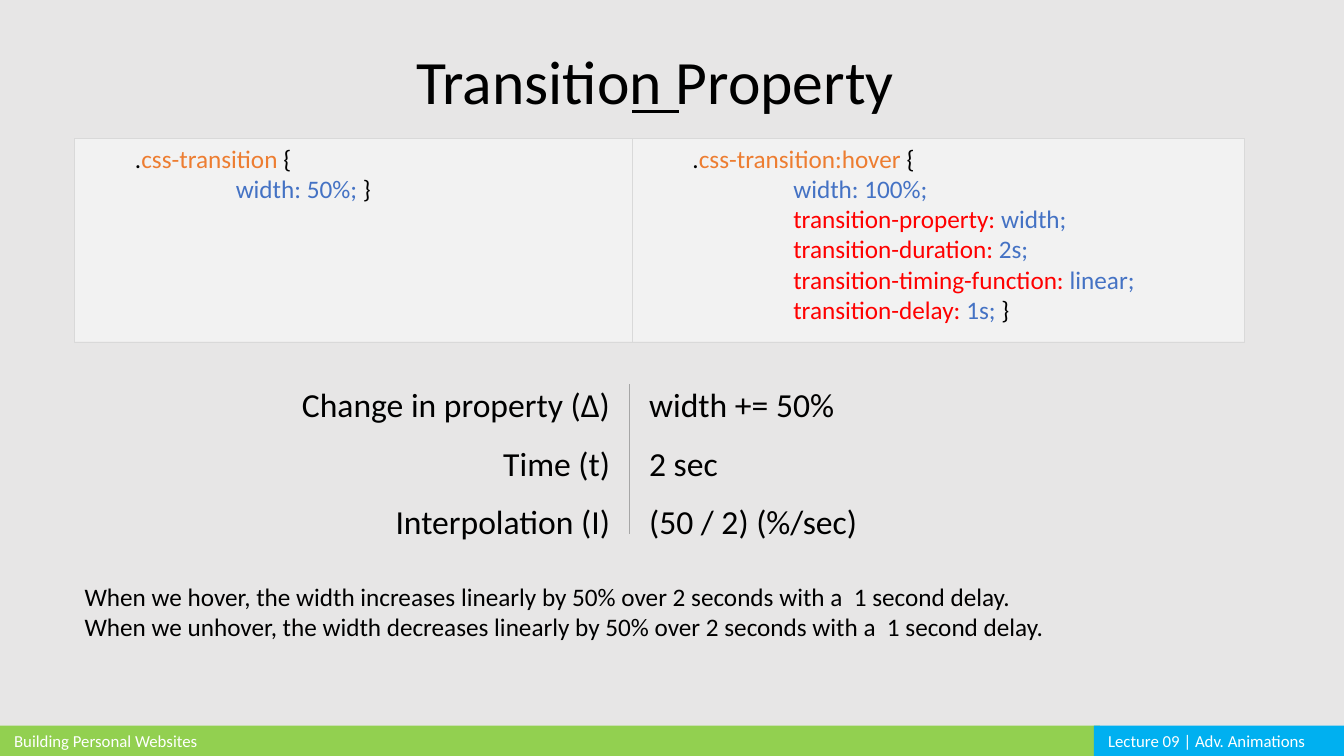
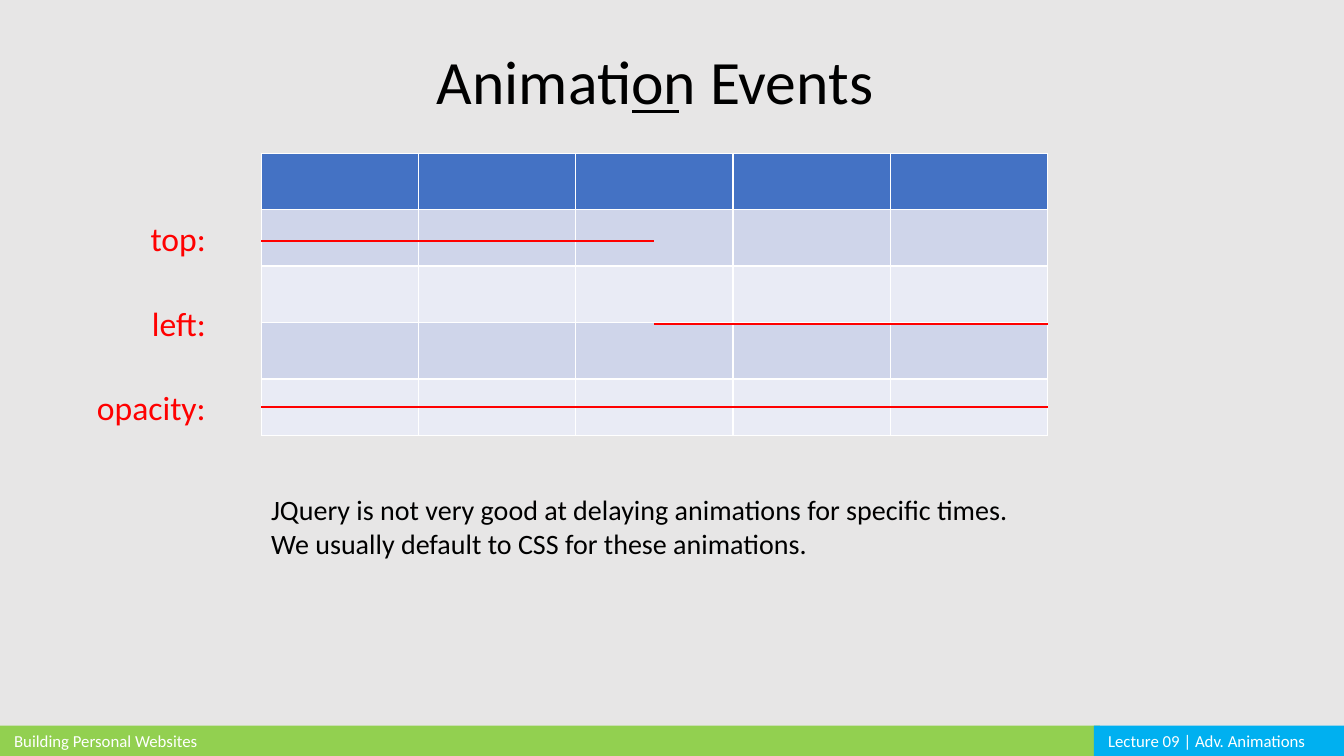
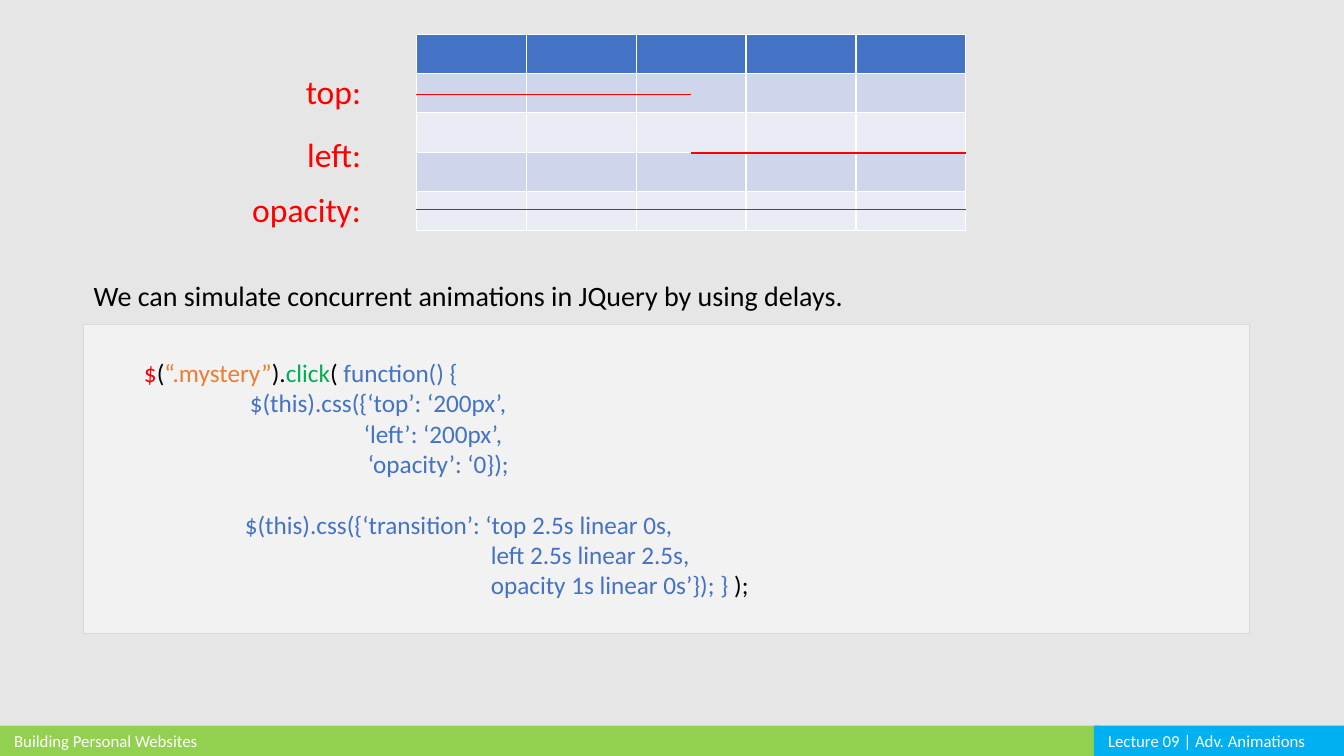
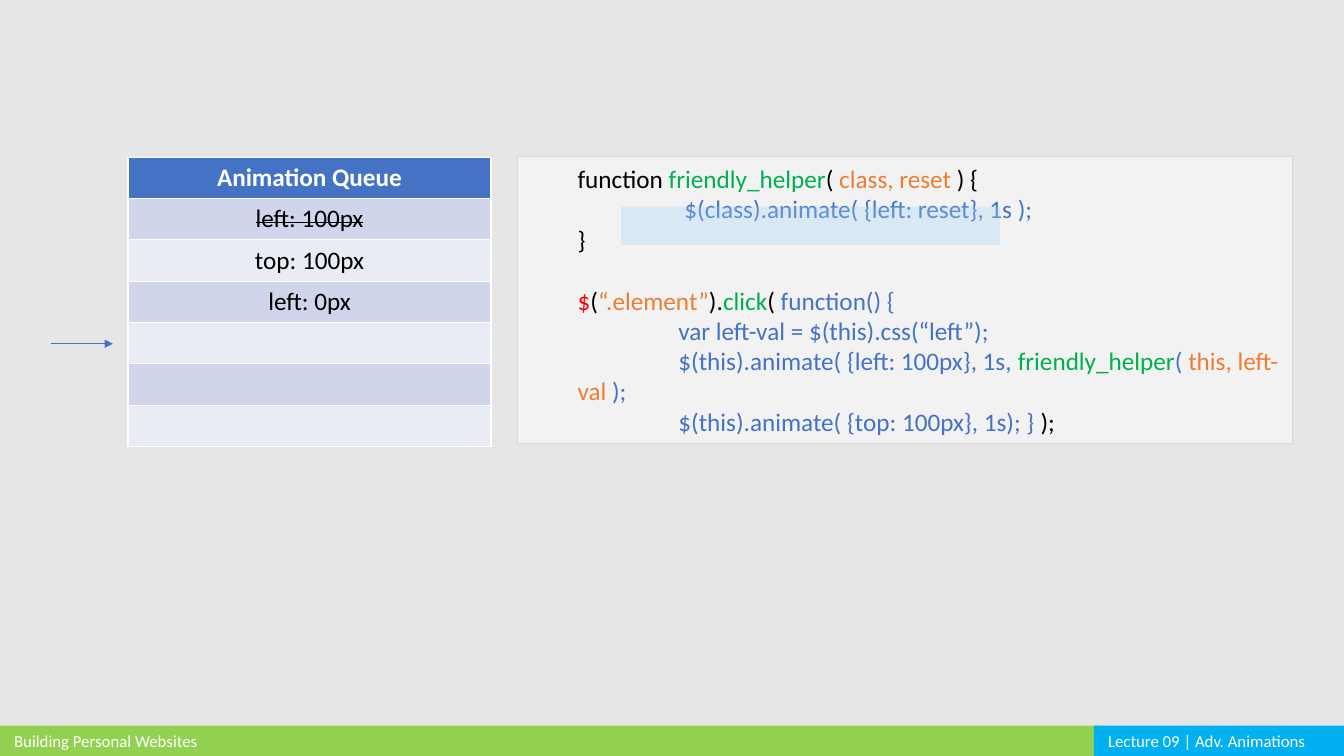
from lxml.etree import SubElement
from pptx import Presentation
from pptx.dml.color import RGBColor as RGB
from pptx.enum.shapes import MSO_CONNECTOR as CONN, MSO_SHAPE as SHAPE
from pptx.enum.text import MSO_ANCHOR as ANCHOR, MSO_AUTO_SIZE as AUTO, PP_ALIGN as ALIGN
from pptx.oxml.ns import qn
from pptx.util import Inches, Pt

COLORS = {
    "page": "E7E6E6", "green_band": "92D050", "blue_band": "00B0F0",
    "white": "FFFFFF", "black": "000000", "red": "FF0000", "blue": "4472C4",
    "orange": "ED7D31", "green": "00B050", "panel": "F2F2F2", "edge": "D9D9D9",
    "divider": "A6A6A6", "row_dark": "CFD5EA", "row_light": "E9EBF5",
    "highlight": "A0D4F5",
}
FRAME = {"word_wrap": True, "auto_size": AUTO.NONE, "vertical_anchor": ANCHOR.TOP}
CELL = {"margin_top": Inches(0.02), "margin_bottom": Inches(0.02),
        "vertical_anchor": ANCHOR.MIDDLE}
LINE_GAP = Pt(22)


def rgb(name):
    """Return the named colour."""
    return RGB.from_string(COLORS[name])


def apply(target, values):
    """Set each attribute in values on target."""
    for name, value in values.items():
        setattr(target, name, value)


class Deck:
    """Holds the shared style and the current slide."""

    font = "Calibri"
    bands = [("Building Personal Websites", 0, 10.91, "green_band"),
             ("Lecture 09 | Adv. Animations", 10.85, 2.48, "blue_band")]

    def __init__(self):
        """Start a wide presentation with a grey page."""
        self.prs = Presentation()
        apply(self.prs, {"slide_width": Inches(13.33), "slide_height": Inches(7.5)})
        fill = self.prs.slide_master.background.fill
        fill.solid()
        fill.fore_color.rgb = rgb("page")

    def slide(self, title=None):
        """Add a slide with the footer bands and, if given, a title."""
        self.s = self.prs.slides.add_slide(self.prs.slide_layouts[5 if title else 6])
        for text, left, width, color in self.bands:
            sp = self.rect(left, 7.2, width, 0.3, color)
            self.fill_text(sp.text_frame, [text], 12, "white")
            apply(sp.text_frame, {"margin_left": Inches(0.14), "margin_top": 0,
                                  "margin_bottom": 0, "vertical_anchor": ANCHOR.MIDDLE})
        if title:
            sp = self.s.shapes.title
            apply(sp, {"left": Inches(3.36), "top": Inches(0.01),
                       "width": Inches(6.28), "height": Inches(1.1)})
            self.fill_text(sp.text_frame, [title], 44, alignment=ALIGN.CENTER,
                           line_spacing=1.5)
            self.line(6.27, 1.11, 6.73, 1.11, "black", 2.25)

    def run(self, p, text, size, color, **fmt):
        """Append a formatted run to a paragraph."""
        r = p.add_run()
        r.text = text
        apply(r.font, {"name": self.font, "size": Pt(size), **fmt})
        r.font.color.rgb = rgb(color)

    def fill_text(self, tf, lines, size, color="black", **fmt):
        """Fill a text frame with one paragraph per line."""
        apply(tf, FRAME)
        for i, text in enumerate(lines):
            p = tf.add_paragraph() if i else tf.paragraphs[0]
            apply(p, {"alignment": ALIGN.LEFT, **fmt})
            self.run(p, text, size, color)

    def text(self, left, top, width, height, lines, size, color="black", **fmt):
        """Add a text box."""
        sp = self.s.shapes.add_textbox(*map(Inches, (left, top, width, height)))
        self.fill_text(sp.text_frame, lines, size, color, **fmt)

    def rect(self, left, top, width, height, color, edge=None, opacity=None):
        """Add a flat rectangle."""
        sp = self.s.shapes.add_shape(SHAPE.RECTANGLE, *map(Inches, (left, top, width, height)))
        sp.shadow.inherit = False
        sp.fill.solid()
        sp.fill.fore_color.rgb = rgb(color)
        if edge:
            sp.line.color.rgb = rgb(edge)
            sp.line.width = Pt(0.25)
        else:
            sp.line.fill.background()
        if opacity:
            clr = sp._element.spPr.find(qn("a:solidFill")).find(qn("a:srgbClr"))
            SubElement(clr, qn("a:alpha"), val=str(opacity * 1000))
        return sp

    def line(self, x1, y1, x2, y2, color, weight, arrow=False):
        """Add a straight line, with an arrowhead at its end if asked."""
        sp = self.s.shapes.add_connector(CONN.STRAIGHT, *map(Inches, (x1, y1, x2, y2)))
        sp.line.color.rgb = rgb(color)
        sp.line.width = Pt(weight)
        spPr = sp._element.spPr
        if arrow:
            SubElement(spPr.find(qn("a:ln")), qn("a:tailEnd"), type="triangle")
        SubElement(spPr, qn("a:effectLst"))

    def code(self, left, top, width, height, lines, anchor=ANCHOR.MIDDLE):
        """Add a code panel; a line is its depth and runs, None leaves a gap."""
        tf = self.rect(left, top, width, height, "panel", "edge").text_frame
        apply(tf, {**FRAME, "vertical_anchor": anchor})
        p, gap = tf.paragraphs[0], 0
        for i, line in enumerate(lines):
            if line is None:
                gap = LINE_GAP
                continue
            depth, *runs = line
            p = tf.add_paragraph() if i else p
            apply(p, {"alignment": ALIGN.LEFT, "space_before": gap})
            pPr = p._p.get_or_add_pPr()
            pPr.set("marL", str(Inches(0.5)))
            pPr.set("indent", str(Inches(depth)))
            for color, text in runs:
                self.run(p, text, 18, color)
            gap = 0

    def table(self, left, top, col, row, rows):
        """Add a table with a blue header and banded rows."""
        n, m = len(rows), len(rows[0])
        size = map(Inches, (left, top, col * m, row * n))
        tbl = self.s.shapes.add_table(n, m, *size).table
        for i, values in enumerate(rows):
            fill = "blue" if i == 0 else ("row_light", "row_dark")[i % 2]
            for j, value in enumerate(values):
                cell = tbl.cell(i, j)
                apply(cell, CELL)
                cell.fill.solid()
                cell.fill.fore_color.rgb = rgb(fill)
                p = cell.text_frame.paragraphs[0]
                p.alignment = ALIGN.CENTER
                if value:
                    self.run(p, value, 18, "black" if i else "white", bold=i == 0)
        return tbl

    def timeline(self, left, top, col, row, weight, tracks):
        """Add a five by five grid with a labelled bar for each property."""
        self.table(left, top, col, row, [[""] * 5] * 5)
        for label, label_top, y, start, end in tracks:
            self.text(left - 1.95, label_top, 1.5, 0.5, [label], 24, "red",
                      alignment=ALIGN.RIGHT)
            self.line(left + start * col, y, left + end * col, y, "red", weight)


deck = Deck()

deck.slide("Transition Property")
deck.code(0.74, 1.37, 5.53, 2.02, [
    (0, ("black", "."), ("orange", "css-transition"), ("black", " {")),
    (1, ("blue", "width: 50%; "), ("black", "}")),
], ANCHOR.TOP)
deck.code(6.27, 1.37, 6.07, 2.02, [
    (0, ("black", "."), ("orange", "css-transition:hover "), ("black", "{")),
    (1, ("blue", "width: 100%;")),
    (1, ("red", "transition-property:"), ("blue", " width;")),
    (1, ("red", "transition-duration:"), ("blue", " 2s;")),
    (1, ("red", "transition-timing-function: "), ("blue", "linear;")),
    (1, ("red", "transition-delay: "), ("blue", "1s; "), ("black", "}")),
], ANCHOR.TOP)
facts = [("Change in property (Δ)", "width += 50%"), ("Time (t)", "2 sec"),
         ("Interpolation (I)", "(50 / 2) (%/sec)")]
for i, (name, value) in enumerate(facts):
    top = 3.56 + 0.58 * i
    deck.text(2.15, top, 4, 0.64, [name], 24, alignment=ALIGN.RIGHT, line_spacing=1.5)
    deck.text(6.34, top, 4, 0.64, [value], 24, line_spacing=1.5)
deck.line(6.24, 3.81, 6.24, 5.3, "divider", 0.5)
deck.text(0.74, 5.72, 10.62, 1.01, [
    "When we hover, the width increases linearly by 50% over 2 seconds with a  1 second delay.",
    "When we unhover, the width decreases linearly by 50% over 2 seconds with a  1 second delay.",
], 18)

deck.slide("Animation Events")
deck.timeline(2.59, 1.52, 1.56, 0.56, 1.5, [
    ("top:", 2.11, 2.39, 0, 2.5),
    ("left:", 2.96, 3.21, 2.5, 5),
    ("opacity:", 3.79, 4.04, 0, 5),
])
deck.text(2.59, 4.84, 7.79, 0.77, [
    "JQuery is not very good at delaying animations for specific times. "
    "We usually default to CSS for these animations."], 20)

deck.slide()
deck.timeline(4.13, 0.34, 1.09, 0.39, 1, [
    ("top:", 0.65, 0.94, 0, 2.5),
    ("left:", 1.28, 1.52, 2.5, 5),
    ("opacity:", 1.83, 2.08, 0, 5),
])
deck.text(0.83, 2.71, 9.72, 0.44,
          ["We can simulate concurrent animations in JQuery by using delays."], 20)
deck.code(0.83, 3.22, 11.56, 3.06, [
    (0, ("red", "$"), ("black", "("), ("orange", "“.mystery”"), ("black", ")."),
     ("green", "click"), ("black", "( "), ("blue", "function() {")),
    (1.05, ("blue", "$(this).css({‘top’: ‘200px’,")),
    (2.18, ("blue", "‘left’: ‘200px’,")),
    (2.22, ("blue", "‘opacity’: ‘0});")),
    None,
    (1, ("blue", "$(this).css({‘transition’: ‘top 2.5s linear 0s,")),
    (3.44, ("blue", "left 2.5s linear 2.5s,")),
    (3.44, ("blue", "opacity 1s linear 0s’}); }"), ("black", " );")),
])

deck.slide()
queue = ["Animation Queue", "left: 100px", "top: 100px", "left: 0px", "", "", ""]
tbl = deck.table(1.27, 1.56, 3.6, 0.41, [[step] for step in queue])
done = tbl.cell(1, 0).text_frame.paragraphs[0].runs[0]
done._r.get_or_add_rPr().set("strike", "sngStrike")
deck.line(0.51, 3.41, 1.12, 3.41, "blue", 0.5, arrow=True)
deck.code(5.13, 1.55, 7.69, 2.85, [
    (0, ("black", "function "), ("green", "friendly_helper"), ("black", "( "),
     ("orange", "class, reset"), ("black", " ) {")),
    (1.06, ("blue", "$(class).animate( {left: reset}, 1s );")),
    (0, ("black", "}")),
    None,
    (0, ("red", "$"), ("black", "("), ("orange", "“.element”"), ("black", ")."),
     ("green", "click"), ("black", "( "), ("blue", "function() {")),
    (1, ("blue", "var left-val = $(this).css(“left”);")),
    (1, ("blue", "$(this).animate( {left: 100px}, 1s, "), ("green", "friendly_helper"),
     ("blue", "( "), ("orange", "this, left-val"), ("blue", " );")),
    (1, ("blue", "$(this).animate( {top: 100px}, 1s); }"), ("black", " );")),
])
deck.rect(6.16, 2.05, 3.76, 0.38, "highlight", opacity=30)

deck.prs.save("out.pptx")
